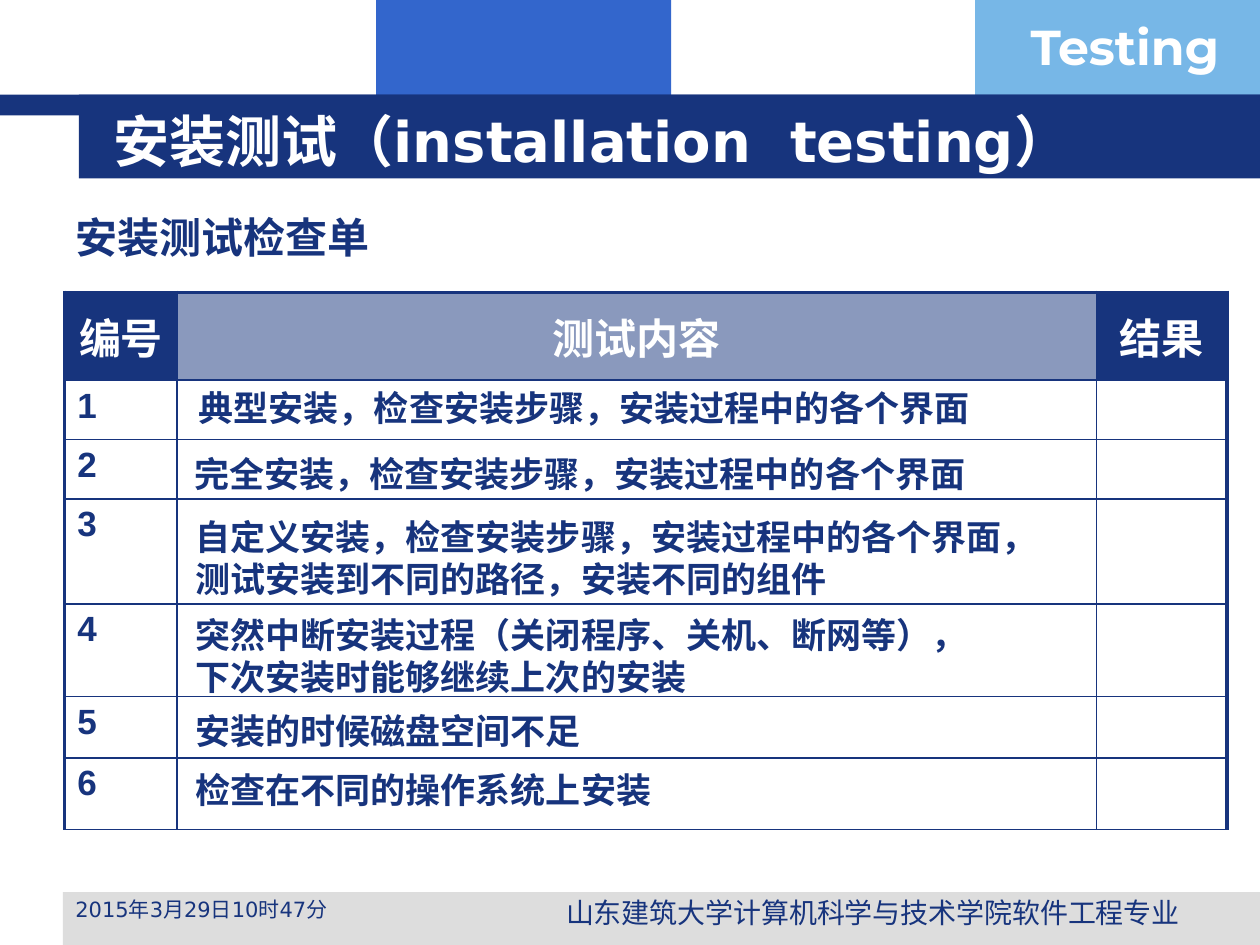
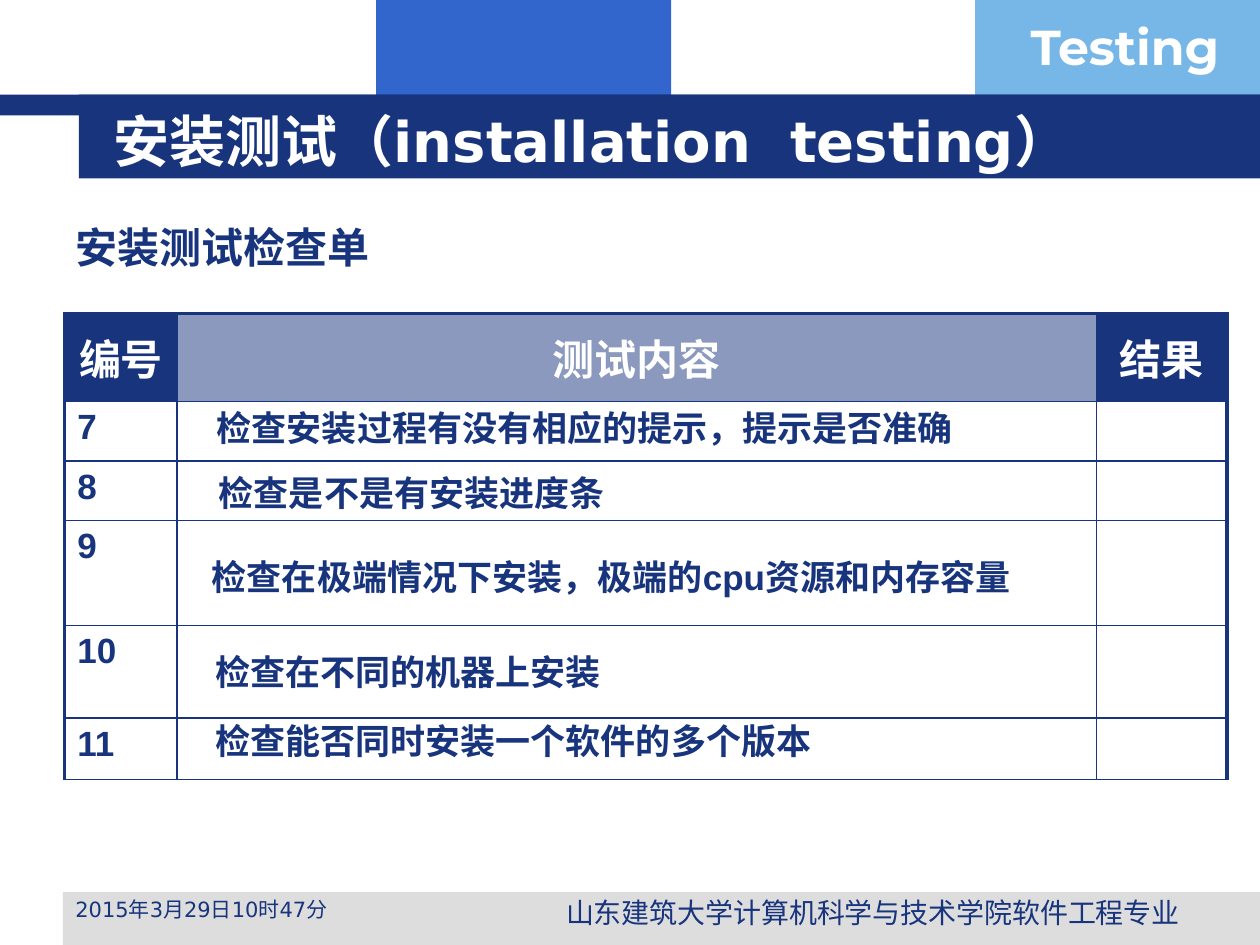
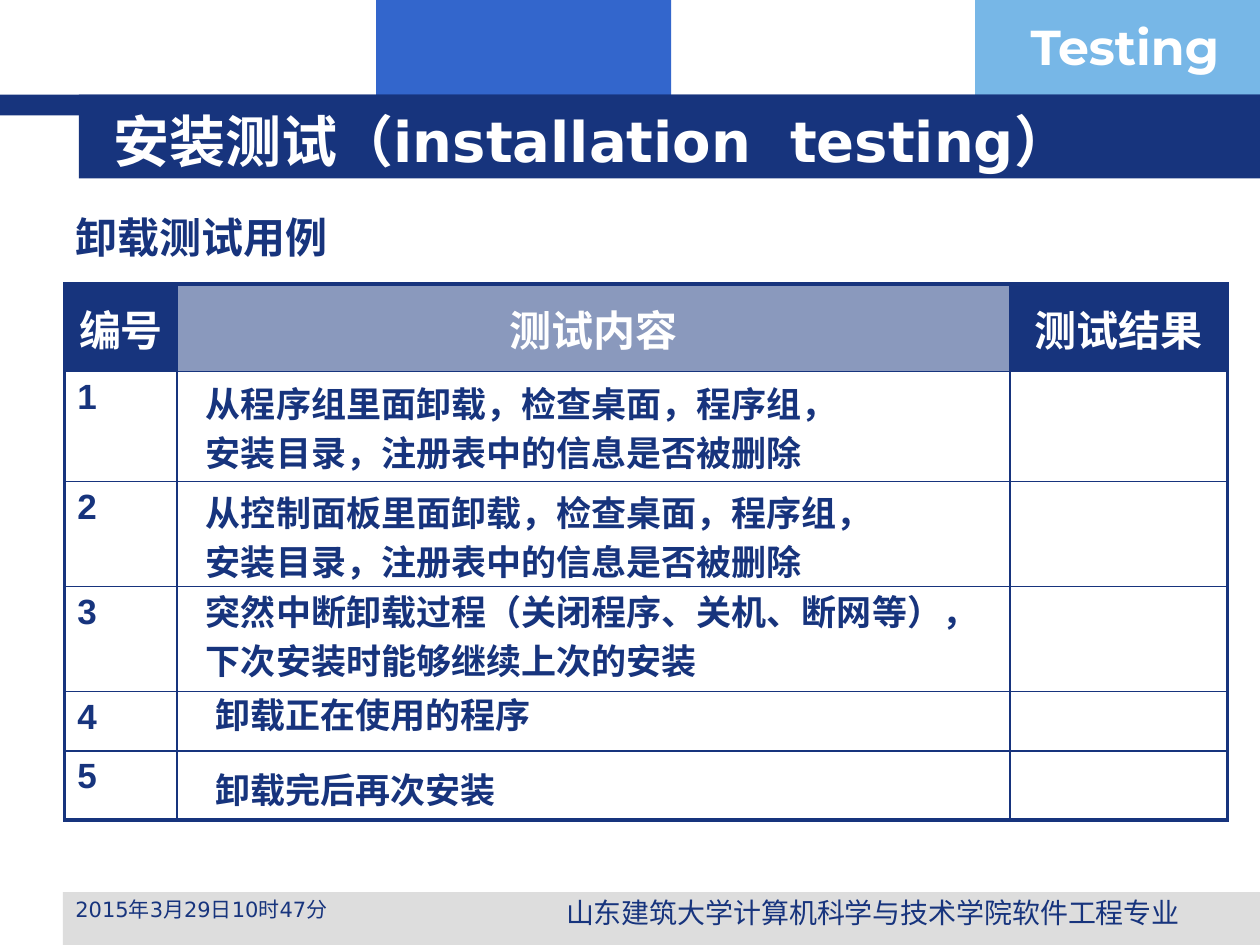
"""Build three slides of installation and uninstallation test checklists."""
from dataclasses import dataclass

from lxml import etree
from pptx import Presentation
from pptx import util as u
from pptx.dml.color import RGBColor
from pptx.enum import shapes, text
from pptx.oxml import ns


@dataclass(frozen=True)
class Theme:
    """Colours, fonts and type sizes of the deck."""
    navy: str = "17347D"
    blue: str = "3366CC"
    sky: str = "77B7E7"
    grey: str = "DDDDDD"
    white: str = "FFFFFF"
    body_font: str = "Arial"
    title_font: str = "DejaVu Sans"
    badge_font: str = "Montserrat"
    title_size: int = 32
    badge_size: int = 28
    heading_size: int = 24
    item_size: int = 20
    department_size: int = 16
    date_size: int = 12
    thin: float = 1
    thick: float = 2.25


THEME = Theme()
LEFT, CENTER = text.PP_ALIGN.LEFT, text.PP_ALIGN.CENTER
TITLE = "安装测试（installation  testing）"
BANDS = [
    (215, 0, 168.5, 66, THEME.blue),
    (557.3, 0, 162.7, 66, THEME.sky),
    (36, 509.8, 684, 30.2, THEME.grey),
    (0, 54, 720, 12, THEME.navy),
    (45, 54, 675, 48, THEME.navy),
]


@dataclass(frozen=True)
class Item:
    """Wording and place of one checklist entry."""
    left: float
    top: float
    width: float
    height: float
    lines: tuple
    align: int = LEFT
    spaced: bool = False


@dataclass(frozen=True)
class Checklist:
    """Everything that differs from slide to slide."""
    heading: str
    heading_top: float
    result: str
    table_top: float
    columns: tuple
    rows: tuple
    first_number: int
    items: tuple
    closed: bool = False


NARROW_RESULT = (64.3, 525.4, 74.6)
WIDE_RESULT = (64.3, 476, 124)

CHECKLISTS = [
    Checklist("安装测试检查单", 111.6, "结果", 167, NARROW_RESULT,
              (50.2, 34, 34, 60, 53, 35, 41), 1, (
        Item(102, 218.9, 464, 28, ("典型安装，检查安装步骤，安装过程中的各个界面",), CENTER),
        Item(99.3, 253.4, 464, 34, ("完全安装，检查安装步骤，安装过程中的各个界面",), CENTER),
        Item(104.6, 298.8, 487.4, 39.6, ("自定义安装，检查安装步骤，安装过程中的各个界面，",
                                         "测试安装到不同的路径，安装不同的组件")),
        Item(104.6, 355, 487.4, 39.6, ("突然中断安装过程（关闭程序、关机、断网等），",
                                       "下次安装时能够继续上次的安装")),
        Item(104.6, 400.3, 453.6, 34, ("安装的时候磁盘空间不足",)),
        Item(104.6, 434.2, 453.6, 34, ("检查在不同的操作系统上安装",), spaced=True))),
    Checklist("安装测试检查单", 117.4, "结果", 179.3, NARROW_RESULT,
              (50.2, 34, 34, 60, 53, 35), 7, (
        Item(110.4, 230.4, 447.8, 28, ("检查安装过程有没有相应的提示，提示是否准确",), CENTER),
        Item(105, 264.2, 260.6, 34, ("检查是不是有安装进度条",), CENTER),
        Item(114, 309.6, 487.4, 39.6, ("检查在极端情况下安装，极端的cpu资源和内存容量",)),
        Item(116, 366.5, 453.6, 34, ("检查在不同的机器上安装",), spaced=True),
        Item(116, 406, 453.6, 34, ("检查能否同时安装一个软件的多个版本",), spaced=True))),
    Checklist("卸载测试用例", 111.6, "测试结果", 162.2, WIDE_RESULT,
              (50.2, 62.8, 60, 60, 34, 39.5), 1, (
        Item(110.6, 218.9, 447.8, 51, ("从程序组里面卸载，检查桌面，程序组，",
                                       "安装目录，注册表中的信息是否被删除"), spaced=True),
        Item(110.6, 281.5, 447.8, 51, ("从控制面板里面卸载，检查桌面，程序组，",
                                       "安装目录，注册表中的信息是否被删除"), spaced=True),
        Item(110.6, 337.7, 447.8, 51, ("突然中断卸载过程（关闭程序、关机、断网等），",
                                       "下次安装时能够继续上次的安装"), spaced=True),
        Item(116, 383, 311.8, 51, ("卸载正在使用的程序",), spaced=True),
        Item(116, 434.2, 311.8, 34, ("卸载完后再次安装",), spaced=True)), closed=True),
]


def points(*lengths):
    """Convert numbers to lengths in points."""
    return [u.Pt(length) for length in lengths]


def write(frame, lines, size, color=THEME.navy, font=THEME.body_font,
          bold=True, align=LEFT, spaced=False):
    """Fill a text frame with equally formatted paragraphs."""
    for index, line in enumerate(lines):
        para = frame.add_paragraph() if index else frame.paragraphs[0]
        para.text = line
        para.alignment = align
        para.space_before = u.Pt(size * 0.2 if spaced else 0)
        para.font.name = font
        para.font.size = u.Pt(size)
        para.font.bold = bold
        para.font.color.rgb = RGBColor.from_string(color)


def add_band(page, left, top, width, height, color):
    """Add a plain rectangle without outline."""
    band = page.shapes.add_shape(shapes.MSO_SHAPE.RECTANGLE, *points(left, top, width, height))
    band.shadow.inherit = False
    band.fill.solid()
    band.fill.fore_color.rgb = RGBColor.from_string(color)
    band.line.fill.background()


def add_label(page, place, lines, size, wrap=True, anchor=text.MSO_ANCHOR.TOP, **style):
    """Add a text box and return its frame."""
    frame = page.shapes.add_textbox(*points(*place)).text_frame
    frame.word_wrap = wrap
    frame.vertical_anchor = anchor
    write(frame, lines, size, **style)
    return frame


def furnish_layout(layout, page):
    """Draw the shared bands and badge, then hand them to the layout."""
    for band in BANDS:
        add_band(page, *band)
    add_label(page, (581.8, 5.8, 138.2, 41), ["Testing"], THEME.badge_size,
              color=THEME.white, font=THEME.badge_font)
    for shape in list(page.shapes):
        if not shape.is_placeholder:
            layout.shapes.element.append(shape.element)


def set_title(page):
    """Place and format the title placeholder."""
    title = page.shapes.title
    title.left, title.top, title.width, title.height = points(57.6, 57.6, 614.2, 44.6)
    title.text_frame.vertical_anchor = text.MSO_ANCHOR.MIDDLE
    title.text_frame.auto_size = text.MSO_AUTO_SIZE.NONE
    write(title.text_frame, [TITLE], THEME.title_size, THEME.white, THEME.title_font)


def add_footer(page):
    """Add the date and the department."""
    add_label(page, (36, 509, 216, 25.2), ["2015年3月29日10时47分"], THEME.date_size,
              font=THEME.title_font, bold=False)
    add_label(page, (292, 508.3, 414, 22.3), ["山东建筑大学计算机科学与技术学院软件工程专业"],
              THEME.department_size, bold=False, align=CENTER)


def set_borders(cell, **widths):
    """Draw the four borders of a cell in navy."""
    properties = cell._tc.get_or_add_tcPr()
    for index, side in enumerate("LRTB"):
        line = etree.Element(ns.qn(f"a:ln{side}"), w=str(u.Pt(widths[side])))
        fill = etree.SubElement(line, ns.qn("a:solidFill"))
        etree.SubElement(fill, ns.qn("a:srgbClr"), val=THEME.navy)
        properties.insert(index, line)


def fill_header(cell, label, translucent):
    """Fill and label one header cell."""
    cell.fill.solid()
    cell.fill.fore_color.rgb = RGBColor.from_string(THEME.navy)
    if translucent:
        color = cell._tc.tcPr.find(".//" + ns.qn("a:srgbClr"))
        etree.SubElement(color, ns.qn("a:alpha"), val="50000")
    cell.vertical_anchor = text.MSO_ANCHOR.MIDDLE
    write(cell.text_frame, [label], THEME.heading_size, THEME.white, align=CENTER, spaced=True)


def add_grid(page, checklist):
    """Add the numbered table with its header row."""
    rows, columns = checklist.rows, checklist.columns
    place = points(37, checklist.table_top, sum(columns), sum(rows))
    table = page.shapes.add_table(len(rows), len(columns), *place).table
    table.first_row = table.horz_banding = False
    for column, width in zip(table.columns, columns):
        column.width = u.Pt(width)
    last_row, last_column = len(rows) - 1, len(columns) - 1
    headers = ("编号", "测试内容", checklist.result)
    for row, height in enumerate(rows):
        table.rows[row].height = u.Pt(height)
        for column, header in enumerate(headers):
            cell = table.cell(row, column)
            if row == 0:
                fill_header(cell, header, translucent=column == 1)
            else:
                cell.fill.background()
                if column == 0:
                    number = str(checklist.first_number + row - 1)
                    write(cell.text_frame, [number], THEME.item_size, spaced=True)
            outer = {"L": column == 0, "R": column == last_column, "T": row == 0,
                     "B": row == last_row and checklist.closed}
            set_borders(cell, **{side: THEME.thick if edge else THEME.thin
                                 for side, edge in outer.items()})


def add_checklist(page, checklist):
    """Add the heading, the table and its entries."""
    heading = add_label(page, (36, checklist.heading_top, 653, 44.6), [checklist.heading],
                        THEME.heading_size, spaced=True)
    heading.paragraphs[0].line_spacing = 1.2
    add_grid(page, checklist)
    for item in checklist.items:
        add_label(page, (item.left, item.top, item.width, item.height), item.lines,
                  THEME.item_size, wrap=False, anchor=text.MSO_ANCHOR.MIDDLE,
                  align=item.align, spaced=item.spaced)


def main():
    """Build and save the deck."""
    deck = Presentation()
    deck.slide_width, deck.slide_height = points(720, 540)
    layout = deck.slide_layouts[5]
    for index, checklist in enumerate(CHECKLISTS):
        page = deck.slides.add_slide(layout)
        if index == 0:
            furnish_layout(layout, page)
        set_title(page)
        add_footer(page)
        add_checklist(page, checklist)
    deck.save("out.pptx")


if __name__ == "__main__":
    main()
